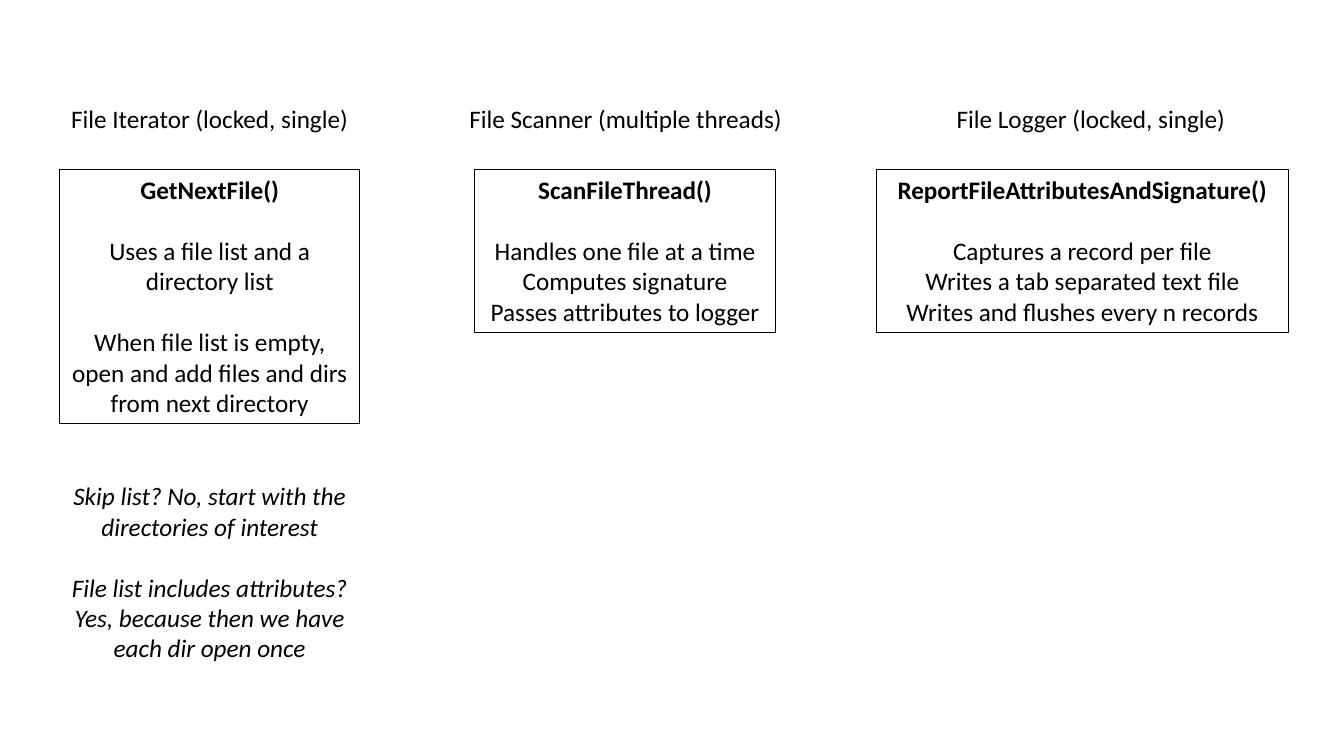
import pptx
import pptx.util
import pptx.dml.color
import pptx.enum.shapes
import pptx.enum.text

Inches = pptx.util.Inches
Pt = pptx.util.Pt

COLORS = {"ink": "000000"}
FONT = "Calibri"
SIZE = 18
GAP = 22  # one line of text, in points
HEAD_TOP, HEAD_HIGH = 0.98, 0.4
BOX_TOP = 1.68

# Each block of text is a list of lines; blocks are set apart by GAP.
COLUMNS = [
    {
        "head": ("File Logger (locked, single)", 9.19, 3.26),
        "box": (8.69, 4.09, 1.62),
        "call": "ReportFileAttributesAndSignature()",
        "blocks": [["Captures a record per file",
                    "Writes a tab separated text file",
                    "Writes and flushes every n records"]],
    },
    {
        "head": ("File Iterator (locked, single)", 0.45, 3.26),
        "box": (0.59, 2.98, 2.52),
        "call": "GetNextFile()",
        "blocks": [["Uses a file list and a directory list"],
                   ["When file list is empty, open and add files and dirs "
                    "from next directory"]],
        "notes": [["Skip list? No, start with the directories of interest"],
                  ["File list includes attributes? Yes, because then we have "
                   "each dir open once"]],
    },
    {
        "head": ("File Scanner (multiple threads)", 4.21, 3.99),
        "box": (4.71, 2.98, 1.62),
        "call": "ScanFileThread()",
        "blocks": [["Handles one file at a time",
                    "Computes signature",
                    "Passes attributes to logger"]],
    },
]


def color(name):
    """Return the named colour."""
    return pptx.dml.color.RGBColor.from_string(COLORS[name])


def write(frame, text, bold=False, italic=False, before=0):
    """Add one centred paragraph to a text frame."""
    first = frame.paragraphs[0]
    para = frame.add_paragraph() if first.runs else first
    para.alignment = pptx.enum.text.PP_ALIGN.CENTER
    para.space_before = Pt(before)
    run = para.add_run()
    run.text = text
    font = run.font
    font.name, font.size = FONT, Pt(SIZE)
    font.bold, font.italic = bold, italic
    font.color.rgb = color("ink")


def fill(frame, blocks, **form):
    """Write blocks of lines, with a gap before each later block."""
    for block in blocks:
        for row, line in enumerate(block):
            gap = GAP if row == 0 and frame.text else 0
            write(frame, line, before=gap, **form)


def label(shapes, blocks, left, top, width, height, **form):
    """Add a plain text box."""
    area = shapes.add_textbox(*map(Inches, (left, top, width, height)))
    area.text_frame.word_wrap = True
    fill(area.text_frame, blocks, **form)


def card(shapes, call, blocks, left, width, height):
    """Add an outlined box with a bold call name above its duties."""
    rect = shapes.add_shape(pptx.enum.shapes.MSO_SHAPE.RECTANGLE,
                            *map(Inches, (left, BOX_TOP, width, height)))
    rect.shadow.inherit = False
    rect.fill.background()
    rect.line.color.rgb = color("ink")
    rect.line.width = Pt(0.75)
    frame = rect.text_frame
    frame.word_wrap = True
    frame.vertical_anchor = pptx.enum.text.MSO_ANCHOR.TOP
    write(frame, call, bold=True)
    fill(frame, blocks)


def column(slide, part):
    """Add one group: heading, box and any notes below."""
    shapes = slide.shapes.add_group_shape().shapes
    text, left, width = part["head"]
    label(shapes, [[text]], left, HEAD_TOP, width, HEAD_HIGH)
    card(shapes, part["call"], part["blocks"], *part["box"])
    if "notes" in part:
        label(shapes, part["notes"], left, 4.72, width, 1.92, italic=True)


def main():
    """Build and save the slide."""
    deck = pptx.Presentation()
    deck.slide_width, deck.slide_height = Inches(13.33), Inches(7.5)
    slide = deck.slides.add_slide(deck.slide_layouts[6])
    for part in COLUMNS:
        column(slide, part)
    deck.save("out.pptx")


main()
